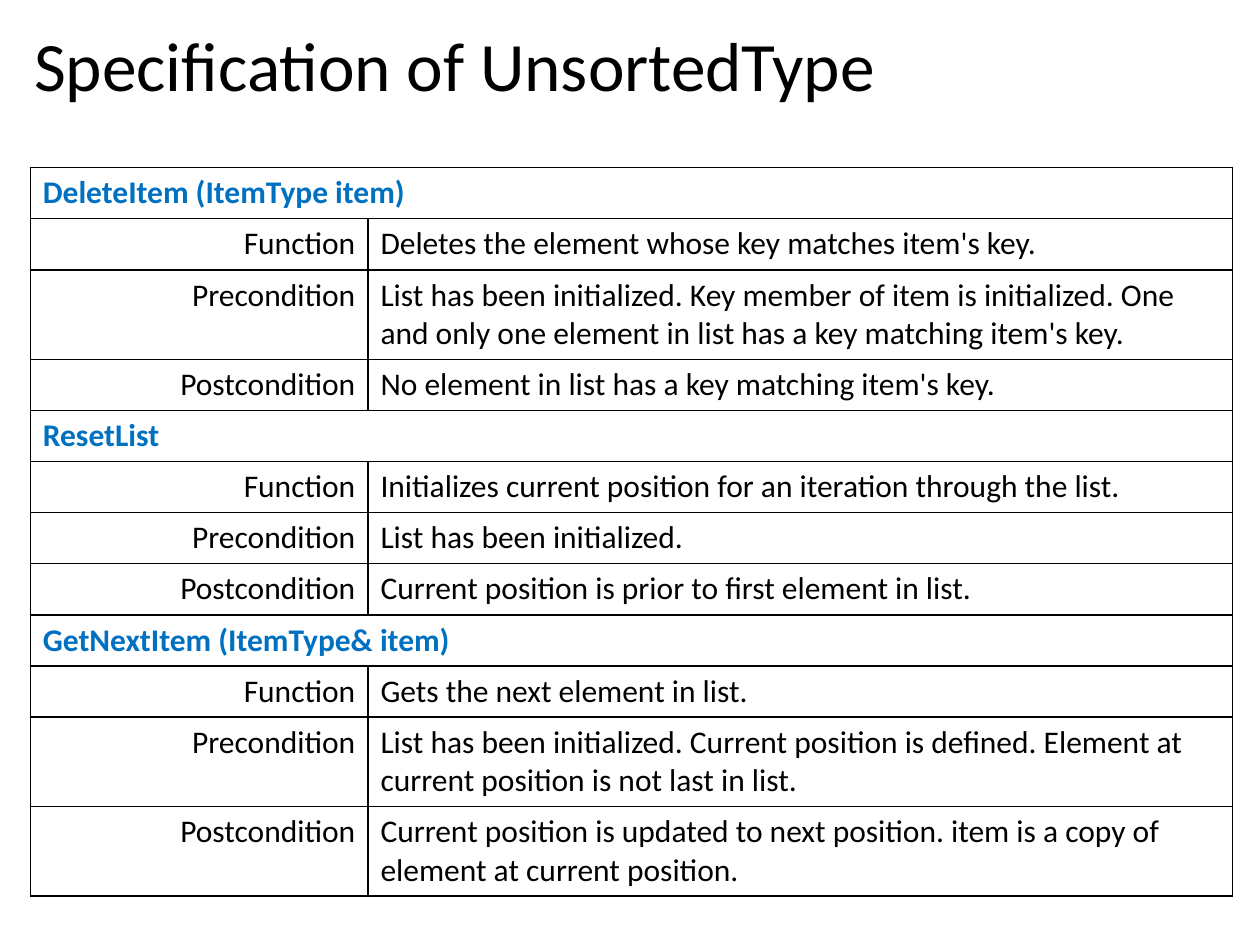
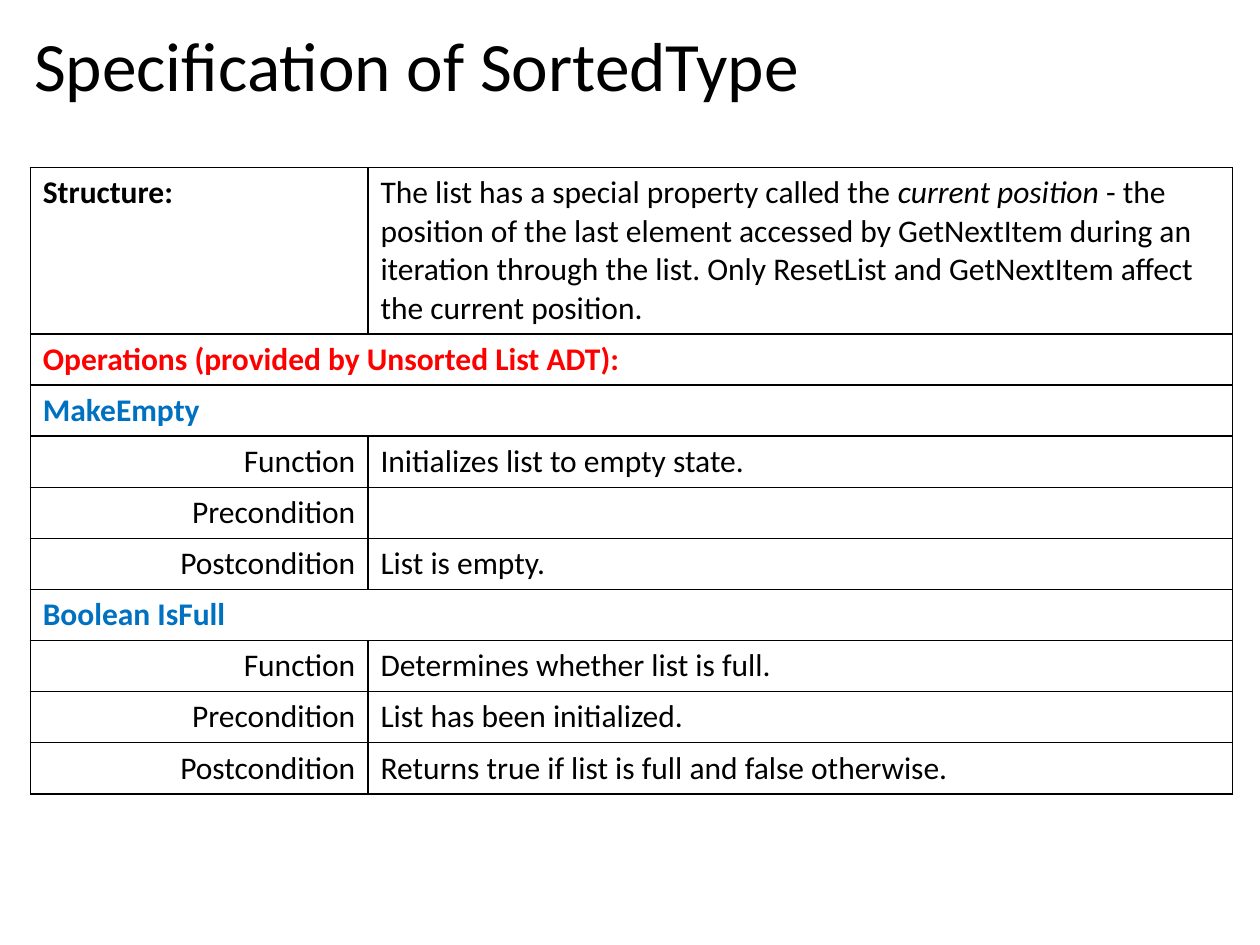
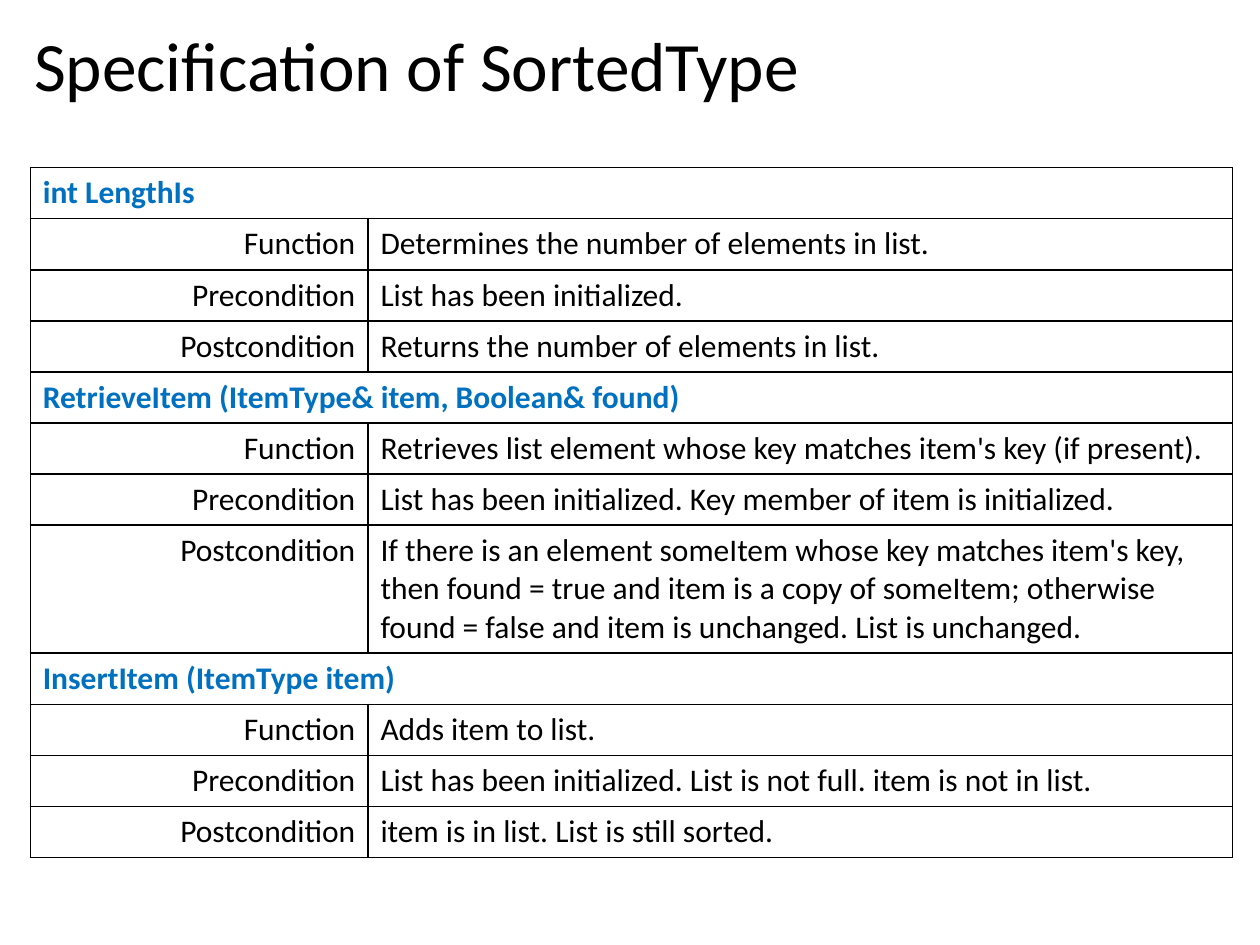
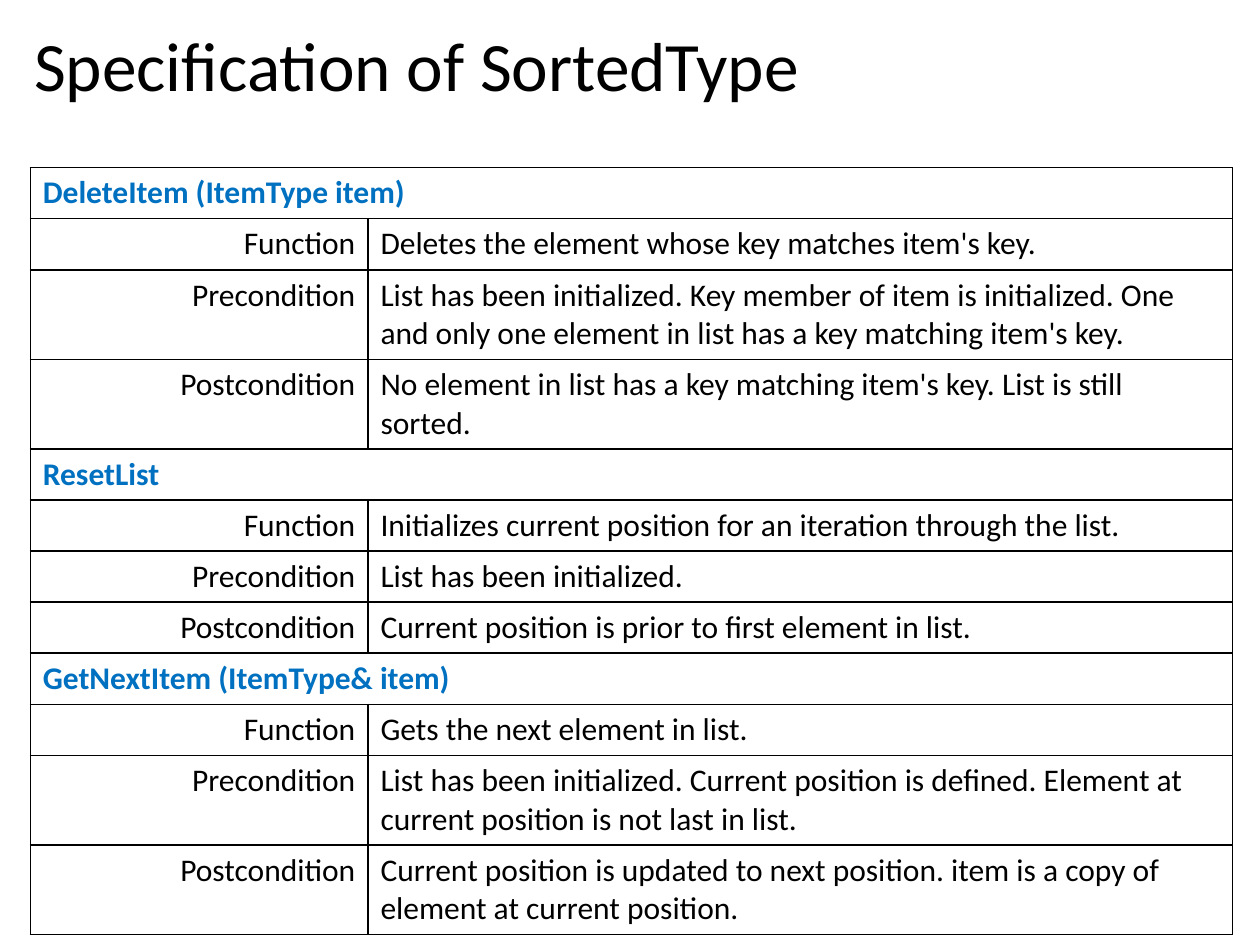
"""Build four slides that specify the UnsortedType and SortedType lists."""
from lxml import etree
from pptx import Presentation
from pptx.dml.color import RGBColor
from pptx.enum import text
from pptx.oxml import ns
from pptx.util import Inches, Pt

FONT, BLACK, BLUE, RED = "Calibri", "000000", "0070C0", "FF0000"
COLS, ROW = (2.68, 6.86), 0.4
LABELS = ("Function", "Precondition", "Postcondition")
READY = "List has been initialized."
KEYED = READY + " Key member of item is initialized."
GONE = "No element in list has a key matching item's key."


def head(words, color=BLUE):
    """Return a bold row that spans the table."""
    return [(words, color, True, False)], None


def plain(words, italic=False):
    """Return one black run."""
    return words, BLACK, False, italic


def group(name, *notes):
    """Return the heading and the three condition rows of one operation."""
    return [head(name)] + [([plain(label)], [plain(note)])
                           for label, note in zip(LABELS, notes)]


def delete(after):
    """Return the DeleteItem rows with the given postcondition."""
    return group(
        "DeleteItem (ItemType item)",
        "Deletes the element whose key matches item's key.",
        KEYED + " One and only one element in list has a key matching item's key.",
        after)


WALK = group(
    "ResetList",
    "Initializes current position for an iteration through the list.",
    READY,
    "Current position is prior to first element in list.",
) + group(
    "GetNextItem (ItemType& item)",
    "Gets the next element in list.",
    READY + " Current position is defined. Element at current position is not last in list.",
    "Current position is updated to next position. item is a copy of element at current position.")

BASICS = [
    ([("Structure:", BLACK, True, False)],
     [plain("The list has a special property called the "),
      plain("current position ", True),
      plain("- the position of the last element accessed by GetNextItem during an "
            "iteration through the list. Only ResetList and GetNextItem affect "
            "the current position.")]),
    head("Operations (provided by Unsorted List ADT):", RED),
] + group(
    "MakeEmpty", "Initializes list to empty state.", "", "List is empty.",
) + group(
    "Boolean IsFull", "Determines whether list is full.", READY,
    "Returns true if list is full and false otherwise.")

ITEMS = group(
    "int LengthIs",
    "Determines the number of elements in list.",
    READY,
    "Returns the number of elements in list.",
) + group(
    "RetrieveItem (ItemType& item, Boolean& found)",
    "Retrieves list element whose key matches item's key (if present).",
    KEYED,
    "If there is an element someItem whose key matches item's key, then found = true "
    "and item is a copy of someItem; otherwise found = false and item is unchanged. "
    "List is unchanged.",
) + group(
    "InsertItem (ItemType item)",
    "Adds item to list.",
    READY + " List is not full. item is not in list.",
    "item is in list. List is still sorted.")

SLIDES = [
    ("UnsortedType", 5.75, delete(GONE) + WALK),
    ("SortedType", 4.95, BASICS),
    ("SortedType", 5.46, ITEMS),
    ("SortedType", 6.04, delete(GONE + " List is still sorted.") + WALK),
]


def write(para, runs, size):
    """Fill a paragraph with styled runs."""
    for words, color, bold, italic in runs:
        if words:
            run = para.add_run()
            run.text = words
            font = run.font
            font.name, font.size = FONT, Pt(size)
            font.bold, font.italic = bold, italic
            font.color.rgb = RGBColor.from_string(color)


def edge(cell):
    """Draw a thin black line on each side of a cell and clear its fill."""
    cell.fill.background()
    props = cell._tc.get_or_add_tcPr()
    for spot, side in enumerate(("lnL", "lnR", "lnT", "lnB")):
        line = etree.Element(ns.qn("a:" + side), w=str(Pt(1)))
        fill = etree.SubElement(line, ns.qn("a:solidFill"))
        etree.SubElement(fill, ns.qn("a:srgbClr"), val=BLACK)
        props.insert(spot, line)


def add_title(slide, words):
    """Place and style the slide title."""
    title = slide.shapes.title
    title.left, title.top = Inches(0.17), Inches(0.18)
    title.width, title.height = Inches(9.62), Inches(0.74)
    frame = title.text_frame
    frame.auto_size = text.MSO_AUTO_SIZE.NONE
    frame.vertical_anchor = text.MSO_ANCHOR.MIDDLE
    para = frame.paragraphs[0]
    para.alignment, para.line_spacing = text.PP_ALIGN.LEFT, 0.9
    write(para, [plain(words)], 39.6)


def add_grid(slide, rows, height):
    """Add the specification table."""
    table = slide.shapes.add_table(
        len(rows), len(COLS), Inches(0.24), Inches(1.33),
        Inches(sum(COLS)), Inches(height)).table
    table.first_row = table.horz_banding = False
    for col, width in zip(table.columns, COLS):
        col.width = Inches(width)
    for line, pair in zip(table.rows, rows):
        line.height = Inches(ROW)
        for cell, runs in zip(line.cells, pair):
            edge(cell)
            para = cell.text_frame.paragraphs[0]
            write(para, runs or [], 18)
            if runs and runs[0][0] in LABELS:
                para.alignment = text.PP_ALIGN.RIGHT
        if pair[1] is None:
            line.cells[0].merge(line.cells[1])


def main():
    """Build and save the deck."""
    deck = Presentation()
    deck.slide_width, deck.slide_height = Inches(10), Inches(7.5)
    for kind, height, rows in SLIDES:
        slide = deck.slides.add_slide(deck.slide_layouts[5])
        add_title(slide, "Specification of " + kind)
        add_grid(slide, rows, height)
    deck.save("out.pptx")


if __name__ == "__main__":
    main()
